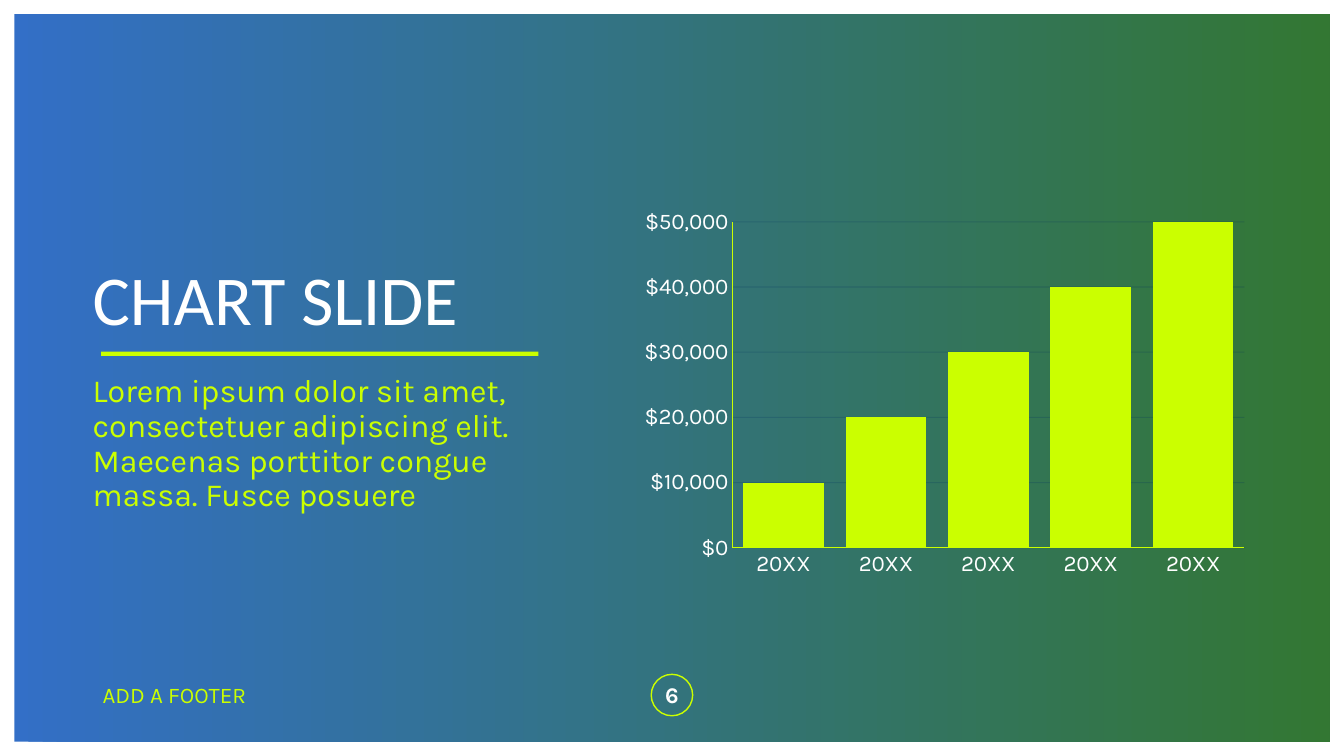
from lxml.etree import SubElement
from pptx import Presentation
from pptx.chart.data import CategoryChartData
from pptx.dml.color import RGBColor
from pptx.enum.chart import XL_CHART_TYPE, XL_TICK_MARK
from pptx.enum.shapes import MSO_SHAPE
from pptx.enum.text import MSO_ANCHOR, MSO_AUTO_SIZE, PP_ALIGN
from pptx.oxml.ns import qn
from pptx.util import Pt

COLORS = {"blue": "004CB9", "green": "005500", "lime": "CBFF00",
          "white": "FFFFFF", "navy": "002E62"}
BODY_FONT = "Karla"
WIDTH, HEIGHT = 960, 540


def rgb(name):
    return RGBColor.from_string(COLORS[name])


def set_alpha(color_parent, percent):
    for color in color_parent.iter(qn("a:srgbClr")):
        SubElement(color, qn("a:alpha"), val=str(percent * 1000))


def place(shape, box):
    shape.left, shape.top, shape.width, shape.height = map(Pt, box)


def write(shape, text, size=16, color="lime", font=BODY_FONT, bold=False,
          align=PP_ALIGN.LEFT, anchor=MSO_ANCHOR.MIDDLE, spacing=1.0, side_inset=7.2):
    frame = shape.text_frame
    frame.word_wrap = True
    frame.auto_size = MSO_AUTO_SIZE.NONE
    frame.vertical_anchor = anchor
    frame.margin_left = frame.margin_right = Pt(side_inset)
    frame.margin_top = frame.margin_bottom = Pt(3.6)
    paragraph = frame.paragraphs[0]
    paragraph.alignment = align
    paragraph.line_spacing = spacing
    paragraph.space_before = Pt(0)
    run = paragraph.add_run()
    run.text = text
    run.font.name, run.font.size, run.font.bold = font, Pt(size), bold
    run.font.color.rgb = rgb(color)


def add_shape(slide, kind, box):
    shape = slide.shapes.add_shape(kind, *map(Pt, box))
    shape.shadow.inherit = False
    shape.line.fill.background()
    return shape


def add_backdrop(slide, box):
    panel = add_shape(slide, MSO_SHAPE.RECTANGLE, box)
    panel.fill.gradient()
    panel.fill.gradient_angle = 0
    for stop, color in zip(panel.fill.gradient_stops, ("blue", "green")):
        stop.color.rgb = rgb(color)
    set_alpha(panel.element.spPr, 80)


def add_intro(slide, box):
    left, top, width, height = box
    # Accent rule under the title
    rule = add_shape(slide, MSO_SHAPE.RECTANGLE, (left + 6, top + 87, 312.5, 3))
    rule.fill.solid()
    rule.fill.fore_color.rgb = rgb("lime")
    # Title, brought in front of the backdrop
    title = slide.shapes.title
    slide.shapes.element.append(title.element)
    place(title, (left, top, width, 104.4))
    write(title, "CHART SLIDE", size=50, color="white", font="Calibri",
          spacing=0.9, side_inset=0)
    # Description
    description = slide.shapes.add_textbox(
        *map(Pt, (left, top + 100, width, height - 100)))
    write(description, "Lorem ipsum dolor sit amet, consectetuer adipiscing elit. "
          "Maecenas porttitor congue massa. Fusce posuere", size=23,
          anchor=MSO_ANCHOR.TOP, spacing=0.9, side_inset=0)


def add_growth_chart(slide, box):
    data = CategoryChartData(number_format="[$$-409]#,##0")
    data.categories = ["20XX"] * 5
    data.add_series("Series 1", [10000, 20000, 30000, 40000, 50000])
    chart = slide.shapes.add_chart(
        XL_CHART_TYPE.COLUMN_CLUSTERED, *map(Pt, box), data).chart
    chart.has_legend = chart.has_title = False
    chart.font.name, chart.font.size = BODY_FONT, Pt(10)

    # Columns
    plot = chart.plots[0]
    plot.vary_by_categories = False
    plot.gap_width, plot.overlap = 27, 5
    columns = plot.series[0].format.fill
    columns.solid()
    columns.fore_color.rgb = rgb("lime")

    # Axes
    for axis in (chart.category_axis, chart.value_axis):
        axis.major_tick_mark = axis.minor_tick_mark = XL_TICK_MARK.NONE
        axis.format.line.width = Pt(1)
        axis.format.line.color.rgb = rgb("lime")
        labels = axis.tick_labels.font
        labels.name, labels.size = BODY_FONT, Pt(16)
        labels.color.rgb = rgb("white")
    amounts = chart.value_axis
    amounts.minimum_scale, amounts.maximum_scale = 0, 50000
    amounts.major_unit = 10000
    amounts.tick_labels.number_format = "[$$-409]#,##0"
    amounts.tick_labels.number_format_is_linked = False

    # Faint gridlines
    grid = amounts.major_gridlines.format.line
    grid.width = Pt(0.75)
    grid.color.rgb = rgb("navy")
    set_alpha(amounts.major_gridlines._xAx.find(qn("c:majorGridlines")), 20)


def add_footer(slide, box):
    left, top, width, height = box
    footer = slide.shapes.add_textbox(*map(Pt, (left, top, 268, height)))
    write(footer, "ADD A FOOTER")
    # Page number in a ring centred on the slide
    ring_size = 29.6
    center = left + width / 2
    ring = add_shape(slide, MSO_SHAPE.OVAL,
                     (center - ring_size / 2, top, ring_size, ring_size))
    ring.fill.background()
    ring.line.width = Pt(1)
    ring.line.color.rgb = rgb("lime")
    number = slide.shapes.add_textbox(*map(Pt, (center - 21.6, top, 43.2, height)))
    write(number, "6", color="white", bold=True, align=PP_ALIGN.CENTER)


def main():
    deck = Presentation()
    deck.slide_width, deck.slide_height = Pt(WIDTH), Pt(HEIGHT)
    slide = deck.slides.add_slide(deck.slide_layouts[5])
    margin, left = 10.2, 66.2
    add_backdrop(slide, (margin, margin, WIDTH - 2 * margin, HEIGHT - 2 * margin))
    add_intro(slide, (left, 164.2, 343.4, 277))
    add_growth_chart(slide, (451.4, 144, 446.4, 273.6))
    add_footer(slide, (left, 481.7, WIDTH - 2 * left, 28.8))
    deck.save("out.pptx")


if __name__ == "__main__":
    main()
